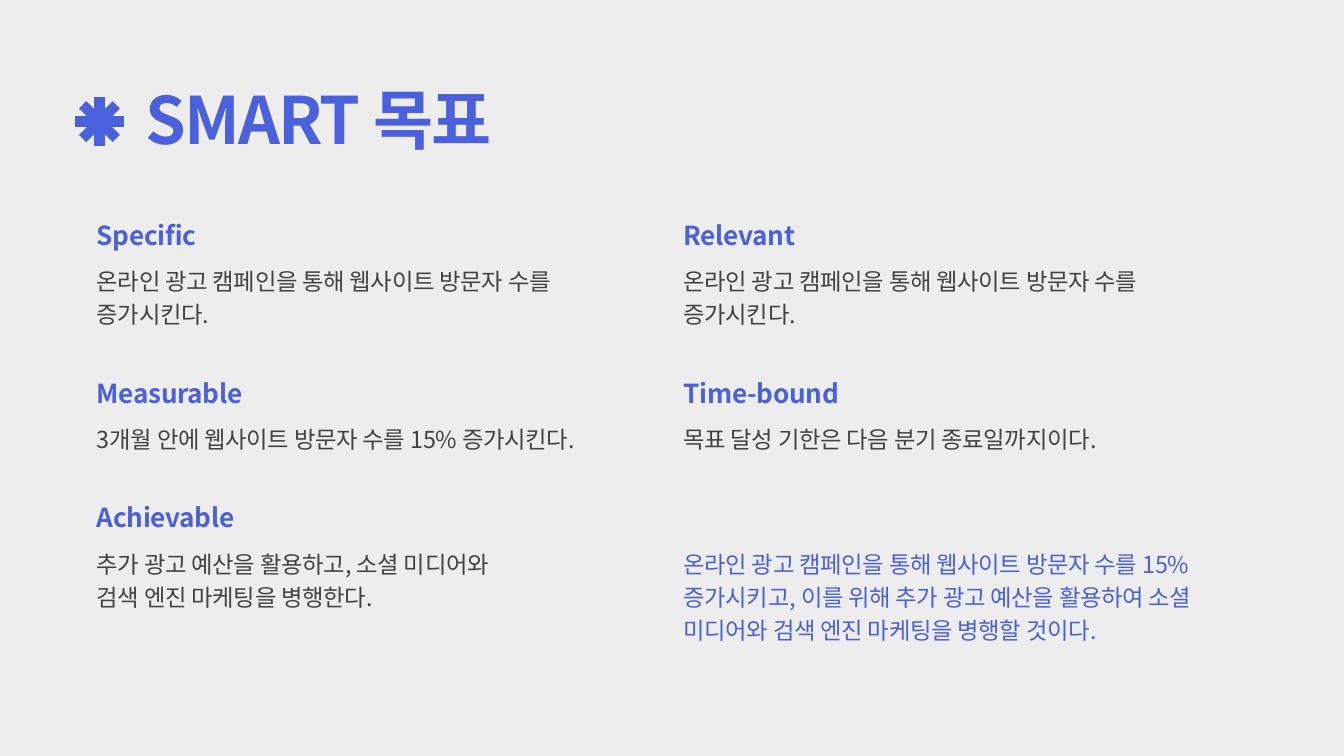
from dataclasses import dataclass

from lxml.etree import SubElement
from pptx import Presentation
from pptx.dml.color import RGBColor
from pptx.enum.shapes import MSO_CONNECTOR
from pptx.enum.text import MSO_ANCHOR, MSO_AUTO_SIZE, PP_ALIGN
from pptx.oxml.ns import qn
from pptx.util import Emu, Pt

PX = 9144  # 100 px to the inch


@dataclass(frozen=True)
class Style:
    size: int
    leading: float
    spacing: int  # hundredths of a point
    bold: bool = False


@dataclass(frozen=True)
class Theme:
    font: str = "Noto Sans CJK KR"
    background: str = "EDEDEE"
    accent: str = "4A60DD"
    ink: str = "424242"
    title: Style = Style(70, 70, -210, True)
    heading: Style = Style(28, 38.9, -28, True)
    body: Style = Style(25, 35, -25)
    mark_weight: int = 11


@dataclass(frozen=True)
class Column:
    left: int
    width: int


@dataclass(frozen=True)
class Row:
    heading_top: int
    body_top: int


@dataclass(frozen=True)
class Goal:
    column: Column
    row: Row
    heading: str
    body: str
    lines: int


THEME = Theme()
LEFT, RIGHT = Column(144, 765), Column(1017, 844)
ROWS = (Row(319, 391), Row(554, 626), Row(739, 812))
HEADING_WIDTH, HEADING_HEIGHT = 596, 52
LINE_HEIGHT = 48
VISITORS = "온라인 광고 캠페인을 통해 웹사이트 방문자 수를\n증가시킨다."
FINAL = ("온라인 광고 캠페인을 통해 웹사이트 방문자 수를 15% 증가시키고, "
         "이를 위해 추가 광고 예산을 활용하여 소셜 미디어와 "
         "검색 엔진 마케팅을 병행할 것이다.")

GOALS = (
    Goal(LEFT, ROWS[0], "Specific", VISITORS, 2),
    Goal(LEFT, ROWS[1], "Measurable",
         "3개월 안에 웹사이트 방문자 수를 15% 증가시킨다.", 1),
    Goal(LEFT, ROWS[2], "Achievable",
         "추가 광고 예산을 활용하고, 소셜 미디어와\n검색 엔진 마케팅을 병행한다.", 2),
    Goal(RIGHT, ROWS[0], "Relevant", VISITORS, 2),
    Goal(RIGHT, ROWS[1], "Time-bound",
         "목표 달성 기한은 다음 분기 종료일까지이다.", 1),
)


def px(n: int) -> Emu:
    return Emu(n * PX)


def write(sp, text: str, *, style: Style, color: str) -> None:
    """Fill a shape with one paragraph per line of text."""
    tf = sp.text_frame
    tf.word_wrap = True
    tf.auto_size = MSO_AUTO_SIZE.NONE
    tf.vertical_anchor = MSO_ANCHOR.TOP
    tf.margin_left = tf.margin_top = tf.margin_right = tf.margin_bottom = 0
    for i, line in enumerate(text.split("\n")):
        p = tf.paragraphs[0] if i == 0 else tf.add_paragraph()
        p.alignment = PP_ALIGN.LEFT
        p.line_spacing = Pt(style.leading)
        p.space_before = Pt(0)
        r = p.add_run()
        r.text = line
        r.font.size = Pt(style.size)
        r.font.bold = style.bold
        r.font.color.rgb = RGBColor.from_string(color)
        r.font.name = THEME.font
        rpr = r._r.get_or_add_rPr()
        rpr.set("spc", str(style.spacing))
        SubElement(rpr, qn("a:ea")).set("typeface", THEME.font)


def add_text(s, left: int, top: int, width: int, height: int, text: str, **fmt) -> None:
    write(s.shapes.add_textbox(px(left), px(top), px(width), px(height)), text, **fmt)


def add_body(s, column: Column, row: Row, text: str, lines: int, color: str) -> None:
    add_text(s, column.left, row.body_top, column.width, lines * LINE_HEIGHT, text,
             style=THEME.body, color=color)


def add_goal(s, goal: Goal) -> None:
    add_text(s, goal.column.left, goal.row.heading_top, HEADING_WIDTH, HEADING_HEIGHT,
             goal.heading, style=THEME.heading, color=THEME.accent)
    add_body(s, goal.column, goal.row, goal.body, goal.lines, THEME.ink)


def add_asterisk(s, cx: int, cy: int, arm: int, diagonal: int) -> None:
    group = s.shapes.add_group_shape()
    for dx, dy in ((arm, 0), (0, -arm), (diagonal, -diagonal), (-diagonal, -diagonal)):
        line = group.shapes.add_connector(
            MSO_CONNECTOR.STRAIGHT, px(cx - dx), px(cy - dy), px(cx + dx), px(cy + dy))
        line.line.color.rgb = RGBColor.from_string(THEME.accent)
        line.line.width = Pt(THEME.mark_weight)
        SubElement(line._element.spPr, qn("a:effectLst"))


def main() -> None:
    prs = Presentation()
    prs.slide_width, prs.slide_height = px(2000), px(1125)
    s = prs.slides.add_slide(prs.slide_layouts[5])
    s.background.fill.solid()
    s.background.fill.fore_color.rgb = RGBColor.from_string(THEME.background)

    # Title
    title = s.shapes.title
    title.left, title.top, title.width, title.height = map(px, (217, 137, 1595, 102))
    write(title, "SMART 목표", style=THEME.title, color=THEME.accent)

    # Goals in two columns, closed by the final goal
    for goal in GOALS:
        add_goal(s, goal)
    add_body(s, RIGHT, ROWS[2], FINAL, 3, THEME.accent)

    # Asterisk beside the title
    add_asterisk(s, cx=148, cy=181, arm=36, diagonal=25)

    prs.save("out.pptx")


if __name__ == "__main__":
    main()
